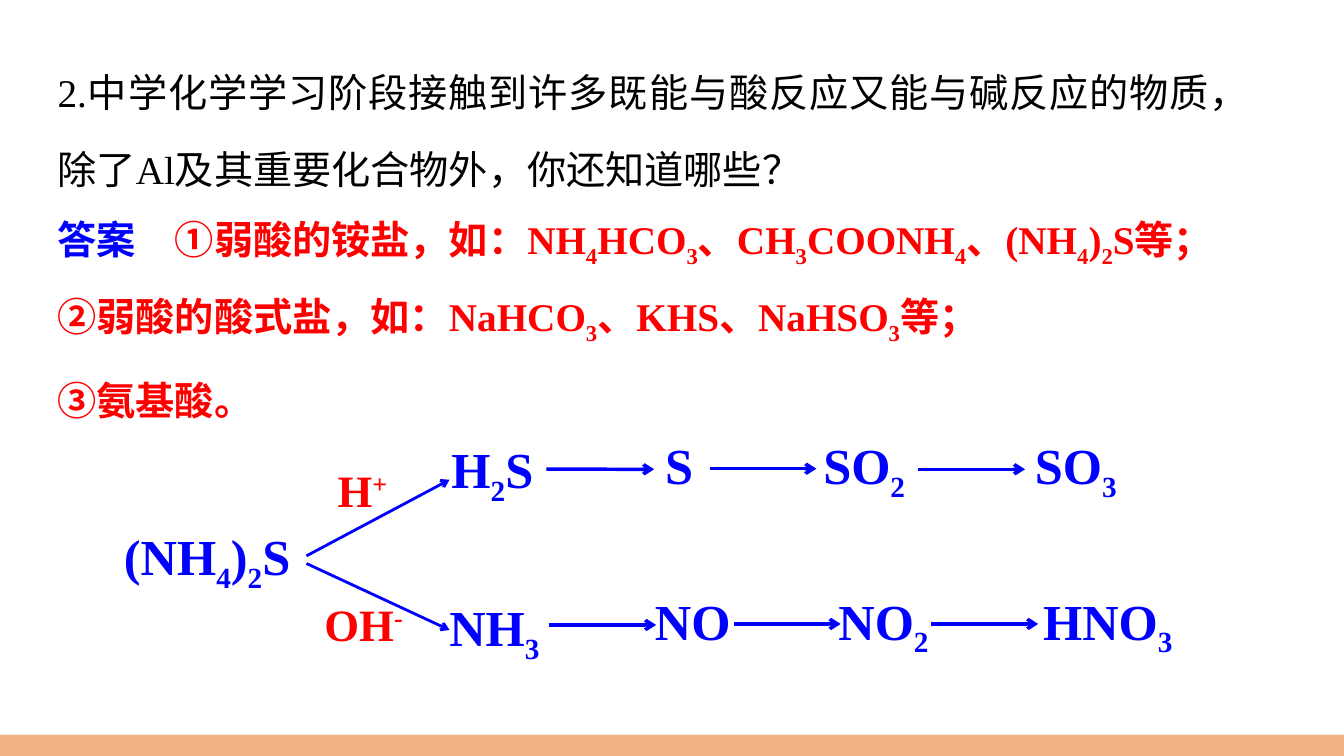
from lxml import etree
from pptx import Presentation
from pptx.dml.color import RGBColor
from pptx.enum import shapes, text
from pptx.oxml import ns
from pptx.util import Pt

COLORS = {"black": "000000", "blue": "0000FF", "red": "FF0000", "bar": "F4B183"}
LATIN, CJK = "Times New Roman", "Noto Sans CJK SC"
SHIFTS = {"_": "-25000", "^": "30000"}


def add_runs(para, marked, size, color, bold=True, font=LATIN):
    """Add runs split at "|"; a leading _ lowers a run and a leading ^ raises it."""
    for piece in marked.split("|"):
        span = para.add_run()
        span.text = piece.lstrip("_^")
        span.font.name = font
        span.font.size = Pt(size)
        span.font.bold = bold
        span.font.color.rgb = RGBColor.from_string(COLORS[color])
        props = span.font._element
        etree.SubElement(props, ns.qn("a:ea")).set("typeface", CJK)
        if piece[0] in SHIFTS:
            props.set("baseline", SHIFTS[piece[0]])


def add_box(left, top, width, height, wrap):
    box = page.shapes.add_textbox(Pt(left), Pt(top), Pt(width), Pt(height))
    box.text_frame.word_wrap = wrap
    box.text_frame.auto_size = text.MSO_AUTO_SIZE.SHAPE_TO_FIT_TEXT
    return box


deck = Presentation()
deck.slide_width, deck.slide_height = Pt(960), Pt(540)
page = deck.slides.add_slide(deck.slide_layouts[6])

# Question and answer
question_answer = [
    [("2.中学化学学习阶段接触到许多既能与酸反应又能与碱反应的物质，除了Al及其重要化合物外，你还知道哪些？",
      "black", False, LATIN)],
    [("答案　", "blue", True, LATIN),
     ("①", "red", True, CJK),
     ("弱酸的铵盐，如：NH|_4|HCO|_3|、CH|_3|COONH|_4|、(NH|_4|)|_2|S等；", "red", True, LATIN)],
    [("②", "red", True, CJK),
     ("弱酸的酸式盐，如：NaHCO|_3|、KHS、NaHSO|_3|等；", "red", True, LATIN)],
    [("③", "red", True, CJK), ("氨基酸。", "red", True, LATIN)],
]
frame = add_box(31.7, 22.3, 870.5, 287.3, True).text_frame
frame.margin_left = frame.margin_right = Pt(9.4)
frame.margin_top = frame.margin_bottom = Pt(5)
for number, parts in enumerate(question_answer):
    para = frame.add_paragraph() if number else frame.paragraphs[0]
    para.alignment = text.PP_ALIGN.JUSTIFY
    para.line_spacing = Pt(55)
    for marked, color, bold, font in parts:
        add_runs(para, marked, 28, color, bold, font)

# Bottom bar with a soft shadow
bar = page.shapes.add_shape(shapes.MSO_SHAPE.RECTANGLE, 0, Pt(524.9), Pt(960), Pt(15.1))
bar.fill.solid()
bar.fill.fore_color.rgb = RGBColor.from_string(COLORS["bar"])
bar.line.fill.background()
bar.shadow.inherit = False
effects = bar._element.spPr.find(ns.qn("a:effectLst"))
shadow = etree.SubElement(effects, ns.qn("a:outerShdw"), blurRad=str(Pt(3.1)),
                          dist=str(Pt(1.6)), dir="5400000", rotWithShape="0")
shade = etree.SubElement(shadow, ns.qn("a:srgbClr"), val=COLORS["black"])
etree.SubElement(shade, ns.qn("a:alpha"), val="38000")

# Substances and reaction conditions: text, left, top, width
substances = [
    ("(NH|_4|)|_2|S", 81.4, 371.5, 137.5),
    ("H|_2|S", 315.4, 309.6, 74.9),
    ("S", 468, 306.7, 34.6),
    ("SO|_2", 581, 306.7, 74.9),
    ("SO|_3", 732.2, 306.7, 74.9),
    ("NH|_3", 313.9, 422.6, 81.4),
    ("NO", 460.8, 417.6, 69.1),
    ("NO|_2", 591.8, 417.6, 81.4),
    ("HNO|_3", 738, 417.6, 109.4),
]
conditions = [("H|^+", 234, 326.9, 51.8), ("OH|^-", 224.6, 422.6, 72)]
boxes = {}
for group, size, height, color in ((substances, 36, 51.1, "blue"),
                                   (conditions, 32, 46.1, "red")):
    for marked, left, top, width in group:
        boxes[marked] = add_box(left, top, width, height, False)
        add_runs(boxes[marked].text_frame.paragraphs[0], marked, size, color)

# Arrows: start, end, line width, box joined at its right side
STEP = 76.3
arrows = [
    (218.9, 396, 321.1, 342.7, 2, "(NH|_4|)|_2|S"),
    (218.9, 402.5, 321.1, 450, 2, None),
]
for x, y, origin in ((391, 335.2, "H|_2|S"), (506.9, 334.8, None), (655.9, 335.2, None),
                     (392.4, 446.4, None), (524.2, 445.7, None), (665.3, 445.7, None)):
    arrows.append((x, y, x + STEP, y, 2.5, origin))
for x1, y1, x2, y2, weight, origin in arrows:
    arrow = page.shapes.add_connector(shapes.MSO_CONNECTOR.STRAIGHT,
                                      Pt(x1), Pt(y1), Pt(x2), Pt(y2))
    if origin:
        arrow.begin_connect(boxes[origin], 3)
    arrow.line.width = Pt(weight)
    arrow.line.color.rgb = RGBColor.from_string(COLORS["blue"])
    etree.SubElement(arrow.line._get_or_add_ln(), ns.qn("a:tailEnd"), type="arrow")
    etree.SubElement(arrow._element.spPr, ns.qn("a:effectLst"))

deck.save("out.pptx")
